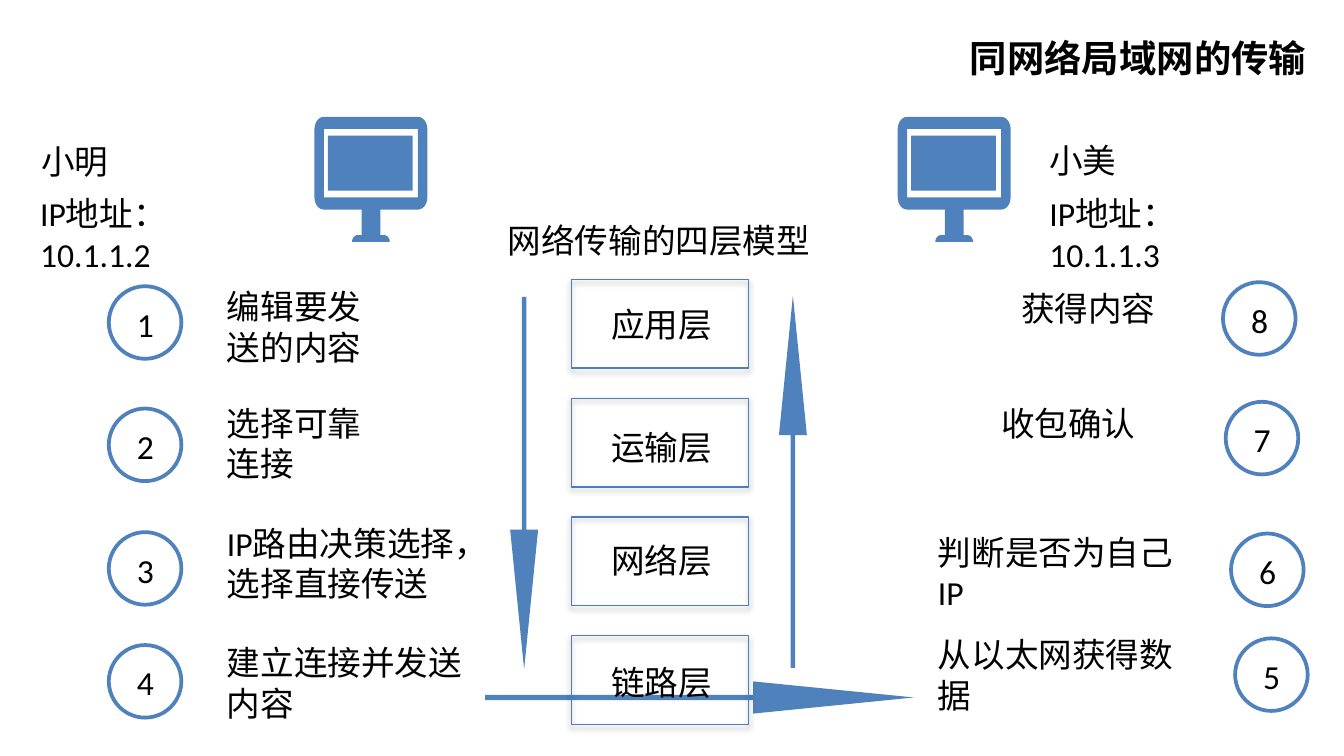
from math import cos, radians, sin

from pptx import Presentation
from pptx.dml.color import RGBColor
from pptx.enum.shapes import MSO_SHAPE as Preset
from pptx.enum.text import PP_ALIGN as Align
from pptx.util import Inches, Pt

BLUE, BLACK, WHITE, EDGE = "4F81BD", "000000", "FFFFFF", "4B7EBC"

STEPS = [
    ("1", 0.81, 2.13, "编辑要发送的内容", 1.59, 2.08, 1.36, 0.71),
    ("2", 0.81, 3.04, "选择可靠连接", 1.59, 2.95, 1.36, 0.71),
    ("3", 0.81, 3.96, "IP路由决策选择，选择直接传送", 1.59, 3.84, 2.26, 0.71),
    ("4", 0.81, 4.8, "建立连接并发送内容", 1.59, 4.73, 1.98, 0.71),
    ("5", 9.19, 4.75, "从以太网获得数据", 6.88, 4.67, 1.98, 0.71),
    ("6", 9.16, 3.97, "判断是否为自己IP", 6.88, 3.91, 1.98, 0.71),
    ("7", 9.12, 2.99, "收包确认", 7.35, 2.95, 1.51, 0.4),
    ("8", 9.1, 2.1, "获得内容", 7.5, 2.09, 1.36, 0.4),
]
LAYERS = [("应用层", 2.21), ("运输层", 3.13), ("网络层", 3.97), ("链路层", 4.88)]
HOSTS = [
    ("小明", "IP地址：10.1.1.2", 2.34, 0.21, 1, 1.66, 0.2),
    ("小美", "IP地址：10.1.1.3", 6.68, 7.71, 0.99, 1.24, 7.71),
]


def color(value):
    return RGBColor.from_string(value)


def arc(x, y, rx, ry, start):
    angles = [radians(start + step * 15) for step in range(7)]
    return [(x + rx * cos(angle), y + ry * sin(angle)) for angle in angles]


def rectangle(left, top, right, bottom):
    return [(left, top), (right, top), (right, bottom), (left, bottom)]


class Diagram:
    """Draws the elements of a network diagram on one slide in a shared style."""

    def __init__(self, page, font="Calibri", size=18):
        self.page = page
        self.font = font
        self.size = size

    def style(self, para, size, bold=False):
        para.font.name = self.font
        para.font.size = Pt(size)
        para.font.bold = bold
        para.font.color.rgb = color(BLACK)

    def title(self, words, left, top, width, height):
        box = self.page.shapes.title
        box.left, box.top = Inches(left), Inches(top)
        box.width, box.height = Inches(width), Inches(height)
        box.text_frame.text = words
        para = box.text_frame.paragraphs[0]
        para.alignment = Align.RIGHT
        self.style(para, 20, bold=True)

    def text(self, words, left, top, width, height=0.4):
        box = self.page.shapes.add_textbox(
            Inches(left), Inches(top), Inches(width), Inches(height))
        box.text_frame.word_wrap = True
        para = box.text_frame.paragraphs[0]
        para.text = words
        self.style(para, self.size)

    def shape(self, preset, left, top, width, height, line, weight):
        shape = self.page.shapes.add_shape(
            preset, Inches(left), Inches(top), Inches(width), Inches(height))
        shape.line.color.rgb = color(line)
        shape.line.width = Pt(weight)
        return shape

    def outline(self, *contours):
        builder = None
        for contour in contours:
            points = [(Inches(x), Inches(y)) for x, y in contour]
            if builder is None:
                builder = self.page.shapes.build_freeform(*points[0])
            else:
                builder.move_to(*points[0])
            builder.add_line_segments(points[1:], close=True)
        shape = builder.convert_to_shape()
        shape.shadow.inherit = False
        shape.fill.solid()
        shape.fill.fore_color.rgb = color(BLUE)
        shape.line.fill.background()

    def computer(self, left, top):
        body = (
            arc(0.07, 0.09, 0.07, 0.09, 180) + arc(0.77, 0.09, 0.07, 0.09, 270)
            + arc(0.77, 0.6, 0.07, 0.09, 0) + [(0.49, 0.69), (0.49, 0.88)]
            + arc(0.52, 0.93, 0.04, 0.05, 270) + arc(0.32, 0.93, 0.04, 0.05, 180)
            + [(0.35, 0.88), (0.35, 0.69)] + arc(0.07, 0.6, 0.07, 0.09, 90)
        )
        frame = rectangle(0.07, 0.09, 0.77, 0.6)
        screen = rectangle(0.1, 0.14, 0.73, 0.55)
        self.outline(*[[(left + x, top + y) for x, y in contour]
                       for contour in (body, frame, screen)])

    def arrow(self, x, y, dx, dy):
        head, shaft, half = 5 / 8, 3 / 500, 3 / 80
        profile = [(0, shaft), (head, shaft), (head, half), (1, 0),
                   (head, -half), (head, -shaft), (0, -shaft)]
        self.outline([(x + along * dx - side * dy, y + along * dy + side * dx)
                      for along, side in profile])

    def step(self, number, x, y, words, left, top, width, height):
        self.text(words, left, top, width, height)
        circle = self.shape(Preset.OVAL, x, y, 0.54, 0.54, BLUE, 2)
        circle.shadow.inherit = False
        circle.fill.solid()
        circle.fill.fore_color.rgb = color(WHITE)
        self.text(number, x + 0.11, y + 0.08, 0.29)

    def layer(self, words, top, text_top):
        box = self.shape(Preset.RECTANGLE, 4.25, top, 1.32, 0.66, EDGE, 0.75)
        box.fill.background()
        self.text(words, 4.45, text_top, 0.98)


def main():
    deck = Presentation()
    deck.slide_width = Inches(10)
    deck.slide_height = deck.slide_width * 9 // 16
    diagram = Diagram(deck.slides.add_slide(deck.slide_layouts[5]))

    diagram.title("同网络局域网的传输", 6.34, 0.19, 3.48, 0.48)
    for name, address, screen_left, left, top, width, address_left in HOSTS:
        diagram.computer(screen_left, 0.87)
        diagram.text(name, left, top, width)
        diagram.text(address, address_left, 1.39, 1.95)

    for step in STEPS:
        diagram.step(*step)

    diagram.arrow(3.9, 2.21, 0, 2.77)
    diagram.arrow(5.9, 4.97, 0, -2.77)
    diagram.arrow(3.61, 5.19, 3.19, 0)

    pitch = (4.73 - 2.08) / (len(LAYERS) - 1)
    for index, (words, text_top) in enumerate(LAYERS):
        diagram.layer(words, 2.08 + pitch * index, text_top)
    diagram.text("网络传输的四层模型", 3.68, 1.59, 2.46)

    deck.save("out.pptx")


if __name__ == "__main__":
    main()
